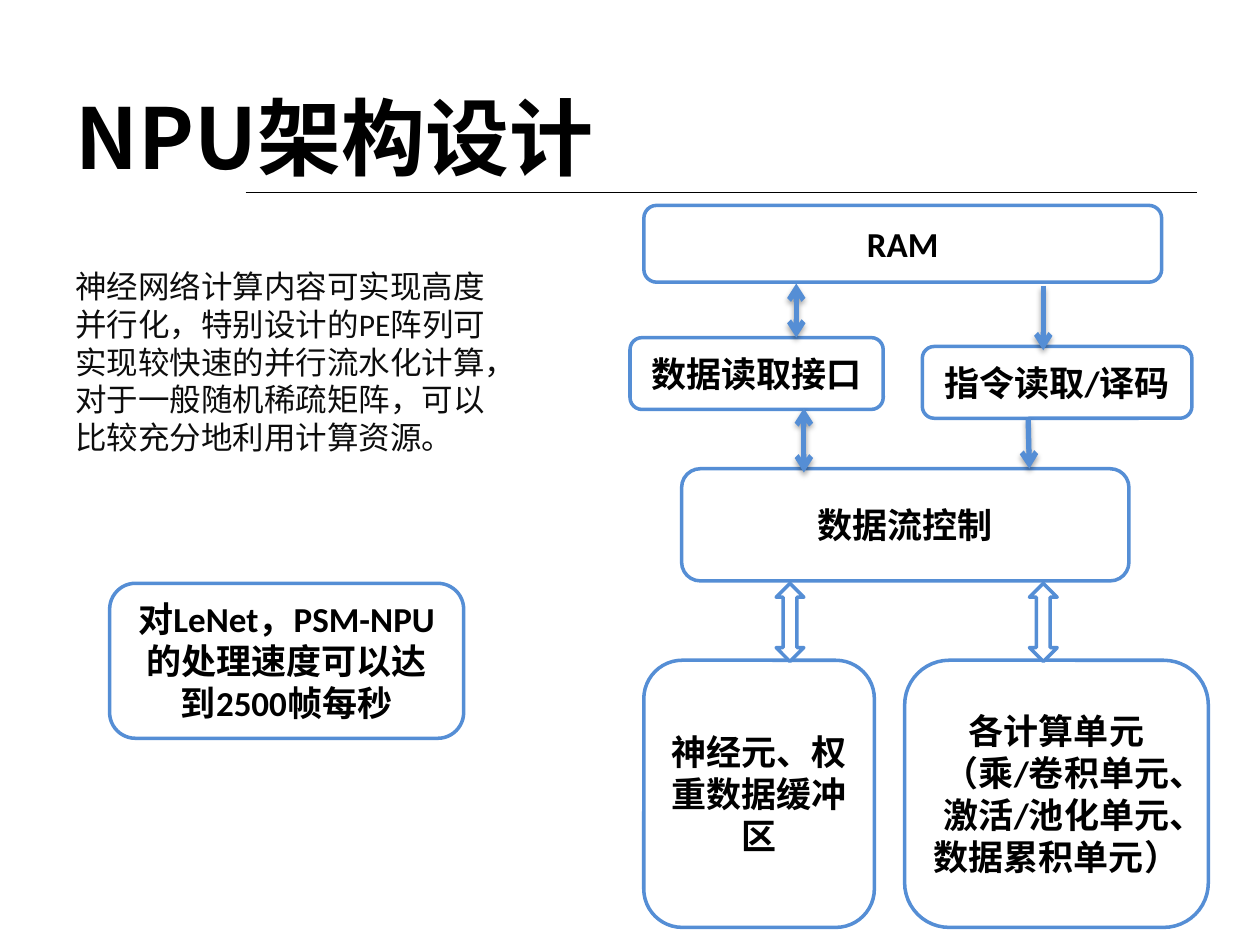
from lxml import etree
from pptx import Presentation
from pptx.dml.color import RGBColor
from pptx.enum import shapes, text
from pptx.oxml import ns
from pptx.util import Inches, Pt

BLACK = RGBColor(0x00, 0x00, 0x00)
BODY_GREY = RGBColor(0x0D, 0x0D, 0x0D)
WHITE = RGBColor(0xFF, 0xFF, 0xFF)
BLUE = RGBColor(0x55, 0x8E, 0xD5)
LATIN_FONT = "Calibri"
CJK_FONT = "Noto Sans CJK SC"

TITLE = "NPU架构设计"
SUMMARY = ("神经网络计算内容可实现高度并行化，特别设计的PE阵列可实现较快速的并行流水化计算，"
           "对于一般随机稀疏矩阵，可以比较充分地利用计算资源。")
BLOCKS = [
    ("指令读取/译码", 7.32, 2.75, 2.14, 0.57),
    ("数据读取接口", 5, 2.68, 2.01, 0.57),
    ("RAM", 5.11, 1.63, 4.11, 0.61),
    ("数据流控制", 5.41, 3.72, 3.55, 0.89),
    ("各计算单元\n（乘/卷积单元、\n激活/池化单元、\n数据累积单元）", 7.18, 5.24, 2.41, 2.12),
    ("神经元、权重数据缓冲区", 5.11, 5.24, 1.83, 2.12),
    ("对LeNet，PSM-NPU的处理速度可以达到2500帧每秒", 0.87, 4.63, 2.81, 1.23),
]
BUS_LEFTS = [6.16, 8.17]
BUS_TOP, BUS_WIDTH, BUS_HEIGHT = 4.63, 0.22, 0.62
FLOWS = [
    (6.32, 2.25, 6.32, 2.68, True),
    (8.16, 3.32, 8.17, 3.72, False),
    (8.28, 2.27, 8.28, 2.78, False),
    (6.38, 3.24, 6.38, 3.75, True),
]


def write(frame, content, size, color, bold, align, font=LATIN_FONT):
    frame.word_wrap = True
    frame.text = content
    for paragraph in frame.paragraphs:
        paragraph.alignment = align
        for run in paragraph.runs:
            run.font.name = font
            run.font.size = Pt(size)
            run.font.bold = bold
            run.font.color.rgb = color
            east_asian = etree.SubElement(run.font._element, ns.qn("a:ea"))
            east_asian.set("typeface", CJK_FONT)


def add_label(slide, box, content, anchor, *style):
    label = slide.shapes.add_textbox(*map(Inches, box))
    label.text_frame.vertical_anchor = anchor
    write(label.text_frame, content, *style)


def add_outlined(slide, kind, *box):
    shape = slide.shapes.add_shape(kind, *map(Inches, box))
    shape.shadow.inherit = False
    shape.fill.solid()
    shape.fill.fore_color.rgb = WHITE
    shape.line.color.rgb = BLUE
    shape.line.width = Pt(2)
    return shape


def add_line(slide, ends, color, width):
    line = slide.shapes.add_connector(shapes.MSO_CONNECTOR.STRAIGHT, *map(Inches, ends))
    line.line.color.rgb = color
    line.line.width = Pt(width)
    effects = etree.SubElement(line._element.spPr, ns.qn("a:effectLst"))
    return line, effects


def add_flow(slide, *ends, two_way):
    flow, effects = add_line(slide, ends, BLUE, 3)
    outline = flow.line._get_or_add_ln()
    for tag in ["a:headEnd", "a:tailEnd"] if two_way else ["a:tailEnd"]:
        etree.SubElement(outline, ns.qn(tag), type="arrow")
    shadow = etree.SubElement(effects, ns.qn("a:outerShdw"), blurRad=str(Pt(3.1)),
                              dist=str(Pt(1.8)), dir="5400000", rotWithShape="0")
    shade = etree.SubElement(shadow, ns.qn("a:srgbClr"), val=str(BLACK))
    etree.SubElement(shade, ns.qn("a:alpha"), val="35000")


def main():
    deck = Presentation()
    deck.slide_width, deck.slide_height = Inches(10), Inches(7.5)
    slide = deck.slides.add_slide(deck.slide_layouts[6])

    add_label(slide, (0.5, 0.61, 9, 0.94), TITLE, text.MSO_ANCHOR.MIDDLE,
              48, BLACK, True, text.PP_ALIGN.LEFT, CJK_FONT)
    add_line(slide, (1.95, 1.53, 9.5, 1.53), BLACK, 0.75)

    for content, *box in BLOCKS:
        block = add_outlined(slide, shapes.MSO_SHAPE.ROUNDED_RECTANGLE, *box)
        block.text_frame.vertical_anchor = text.MSO_ANCHOR.MIDDLE
        write(block.text_frame, content, 20, BLACK, True, text.PP_ALIGN.CENTER)

    for left in BUS_LEFTS:
        add_outlined(slide, shapes.MSO_SHAPE.UP_DOWN_ARROW, left, BUS_TOP, BUS_WIDTH, BUS_HEIGHT)

    for *ends, two_way in FLOWS:
        add_flow(slide, *ends, two_way=two_way)

    add_label(slide, (0.5, 2.07, 3.55, 1.92), SUMMARY, text.MSO_ANCHOR.TOP,
              18, BODY_GREY, False, text.PP_ALIGN.LEFT)

    deck.save("out.pptx")


if __name__ == "__main__":
    main()
